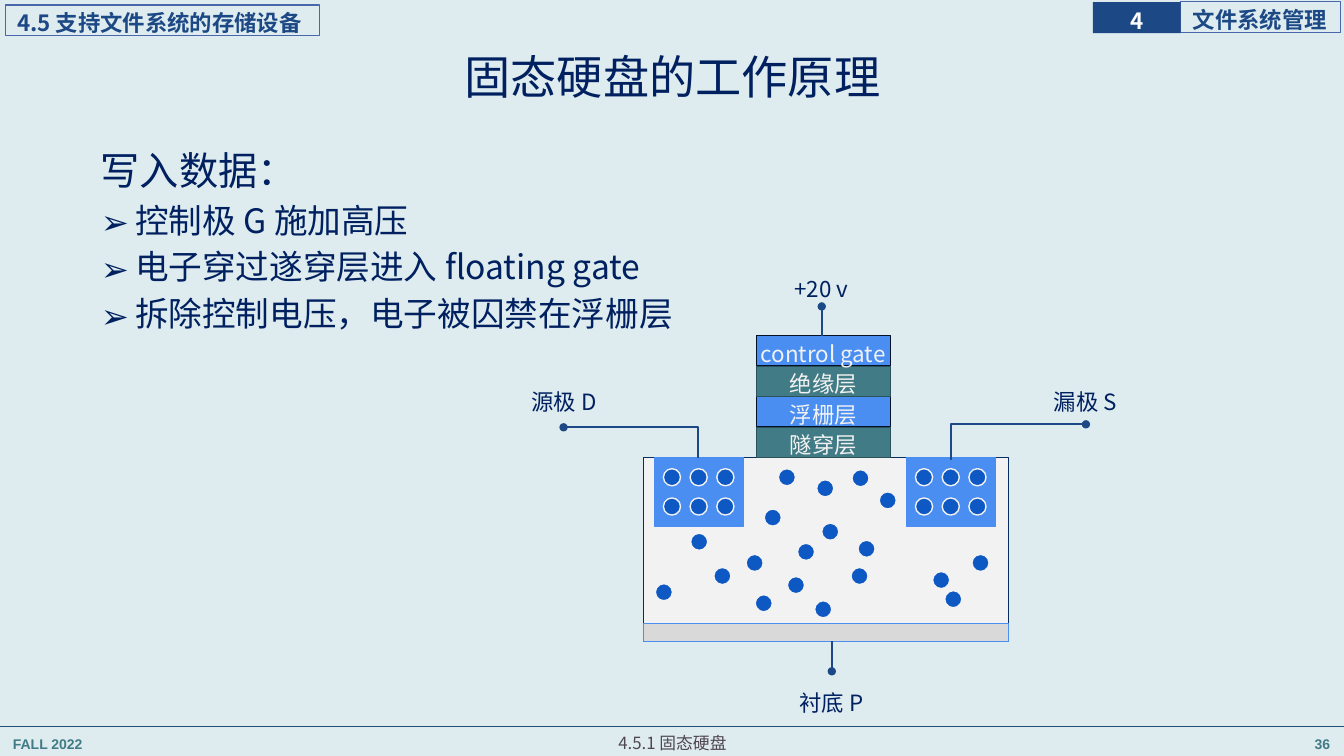
from itertools import product
from lxml.etree import SubElement
from pptx import Presentation
from pptx.dml.color import RGBColor
from pptx.enum.shapes import MSO_CONNECTOR, MSO_SHAPE
from pptx.enum.text import MSO_ANCHOR, PP_ALIGN
from pptx.oxml.ns import qn
from pptx.util import Inches, Pt

WIDTH, HEIGHT = 13.33, 7.5
SANS, LATIN = "Noto Sans CJK SC", "Arial"
ICE, NAVY, INK = RGBColor(222, 236, 239), RGBColor(28, 72, 133), RGBColor(0, 32, 96)
WHITE, PALE, GREY = RGBColor(255, 255, 255), RGBColor(242, 242, 242), RGBColor(217, 217, 217)
BLUE, ELECTRON, TEAL = RGBColor(74, 142, 242), RGBColor(14, 88, 196), RGBColor(65, 123, 133)
FRAME, RULE, PLUM = RGBColor(74, 102, 172), RGBColor(35, 79, 119), RGBColor(80, 70, 82)
DEEP, DARK_TEAL, BLACK = RGBColor(7, 44, 98), RGBColor(43, 82, 89), RGBColor(3, 18, 39)

TITLE = "固态硬盘的工作原理"
LEAD = "写入数据："
STEPS = ["控制极 G 施加高压", "电子穿过遂穿层进入 floating gate", "拆除控制电压，电子被囚禁在浮栅层"]
LAYERS = [("control gate", BLUE, BLACK), ("绝缘层", TEAL, DARK_TEAL),
          ("浮栅层", BLUE, BLACK), ("隧穿层", TEAL, DARK_TEAL)]
TERMINALS = [("+20 v", 7.33, 2.63, 1.63), ("源极 D", 5, 3.75, 1.19),
             ("漏极 S", 10.17, 3.75, 1.19), ("衬底 P", 7.65, 6.73, 1.19)]
LEADS = [((8.15, 3.33), (8.15, 3.04), None), ((9.42, 4.56), (10.77, 4.21), 900),
         ((6.93, 4.54), (5.59, 4.24), 300), ((8.25, 6.36), (8.25, 6.66), None)]
ELECTRONS = [(7.49, 5.9), (6.5, 5.79), (8.08, 5.96), (9.37, 5.86), (9.25, 5.67),
             (9.64, 5.5), (8.72, 4.88), (8.45, 4.66), (8.1, 4.76), (7.72, 4.65),
             (7.58, 5.05), (6.85, 5.29), (7.08, 5.63), (7.4, 5.5), (7.81, 5.72),
             (8.44, 5.63), (8.51, 5.36), (8.15, 5.19), (7.91, 5.39)]
BODY_LEFT, BODY_TOP, BODY_WIDTH = 6.38, 4.54, 3.62
WELL_WIDTH, WELL_HEIGHT, WELL_INSET = 0.88, 0.68, 0.11
LAYER_LEFT, LAYER_WIDTH, LAYER_PITCH = 7.5, 1.33, 0.3025
DOT = 0.17


def style(paragraph, size, color, bold=False, font=SANS, align=None, spacing=1.2):
    paragraph.alignment = align
    paragraph.line_spacing = spacing
    paragraph.font.size = Pt(size)
    paragraph.font.bold = bold
    paragraph.font.color.rgb = color
    paragraph.font.name = font
    SubElement(paragraph.font._element, qn("a:ea"), typeface=font)


def write(box, text, size, color, insets=(0.1, 0.05, 0.1, 0.05), anchor=MSO_ANCHOR.TOP, **look):
    frame = box.text_frame
    frame.word_wrap = True
    frame.vertical_anchor = anchor
    frame.margin_left, frame.margin_top, frame.margin_right, frame.margin_bottom = map(Inches, insets)
    frame.text = text
    style(frame.paragraphs[0], size, color, **look)
    return frame


def add_text(page, area, text, size, color, **look):
    box = page.shapes.add_textbox(*map(Inches, area))
    return write(box, text, size, color, **look)


def add_block(page, area, fill=None, line=None, weight=0.75, kind=MSO_SHAPE.RECTANGLE):
    block = page.shapes.add_shape(kind, *map(Inches, area))
    block.shadow.inherit = False
    if fill is None:
        block.fill.background()
    else:
        block.fill.solid()
        block.fill.fore_color.rgb = fill
    if line is None:
        block.line.fill.background()
    else:
        block.line.color.rgb = line
        block.line.width = Pt(weight)
    return block


def add_electron(page, left, top):
    add_block(page, (left, top, DOT, DOT), ELECTRON, PALE, 1, MSO_SHAPE.OVAL)


def add_line(page, start, end, color, weight, kind=MSO_CONNECTOR.STRAIGHT):
    line = page.shapes.add_connector(kind, *map(Inches, start + end))
    line.line.color.rgb = color
    line.line.width = Pt(weight)
    SubElement(line._element.spPr, qn("a:effectLst"))
    return line


def add_lead(page, start, end, bend):
    kind = MSO_CONNECTOR.STRAIGHT if bend is None else MSO_CONNECTOR.ELBOW
    lead = add_line(page, start, end, NAVY, 1.25, kind)
    SubElement(lead.line._get_or_add_ln(), qn("a:tailEnd"), type="oval")
    if bend is not None:
        guides = lead._element.spPr.find(qn("a:prstGeom")).find(qn("a:avLst"))
        SubElement(guides, qn("a:gd"), name="adj1", fmla=f"val {bend}")


def add_well(page, left):
    add_block(page, (left, BODY_TOP, WELL_WIDTH, WELL_HEIGHT), BLUE, BLUE)
    for row, column in product(range(2), range(3)):
        add_electron(page, left + 0.09 + 0.265 * column, BODY_TOP + 0.11 + 0.29 * row)


def add_banners(page):
    tag = {"insets": (0.12, 0, 0, 0), "anchor": MSO_ANCHOR.MIDDLE, "bold": True}
    chapter = add_block(page, (11.71, 0.02, 1.59, 0.3), line=FRAME)
    write(chapter, "文件系统管理", 16, NAVY, align=PP_ALIGN.JUSTIFY, **tag)
    number = add_block(page, (10.84, 0.02, 0.87, 0.31), NAVY)
    write(number, "4", 16, WHITE, insets=(0, 0, 0, 0), anchor=MSO_ANCHOR.MIDDLE,
          bold=True, align=PP_ALIGN.CENTER)
    section = add_block(page, (0.05, 0.05, 3.12, 0.3), line=FRAME)
    write(section, "4.5 支持文件系统的存储设备", 16, NAVY, align=PP_ALIGN.LEFT, **tag)


def add_footer(page):
    add_line(page, (0, 7.21), (WIDTH, 7.21), RULE, 0.5)
    for left, text, align in [(0.03, "FALL 2022", PP_ALIGN.LEFT), (10.51, "36", PP_ALIGN.RIGHT)]:
        add_text(page, (left, 7.21, 2.78, 0.31), text, 10, TEAL, bold=True, font=LATIN, align=align)
    add_text(page, (1.67, 7.18, 10, 0.32), "4.5.1 固态硬盘", 12, PLUM, align=PP_ALIGN.CENTER)


def add_steps(page):
    insets = (0.08, 0.04, 0.08, 0.04)
    add_text(page, (0.92, 0.4, 11.5, 0.77), TITLE, 33, INK, insets=insets,
             anchor=MSO_ANCHOR.MIDDLE, align=PP_ALIGN.CENTER, spacing=0.9)
    frame = add_text(page, (0.92, 1.46, 11.5, 5.64), LEAD, 28, INK, insets=insets, spacing=0.9)
    for step in STEPS:
        paragraph = frame.add_paragraph()
        paragraph.text = step
        paragraph.space_before = Pt(7.5)
        properties = paragraph._p.get_or_add_pPr()
        properties.set("marL", str(Inches(0.34)))
        properties.set("indent", str(Inches(-0.34)))
        SubElement(properties, qn("a:buFont"), typeface=SANS)
        SubElement(properties, qn("a:buChar"), char="➢")
        style(paragraph, 24, INK, spacing=0.9)


def add_transistor(page):
    add_block(page, (BODY_LEFT, BODY_TOP, BODY_WIDTH, 1.82), PALE, DEEP)
    add_block(page, (BODY_LEFT, 6.19, BODY_WIDTH, DOT), GREY, BLUE)
    add_well(page, BODY_LEFT + WELL_INSET)
    add_well(page, BODY_LEFT + BODY_WIDTH - WELL_INSET - WELL_WIDTH - 0.02)
    gate_top = BODY_TOP - LAYER_PITCH * len(LAYERS)
    for row, (text, fill, line) in reversed(list(enumerate(LAYERS))):
        layer = add_block(page, (LAYER_LEFT, gate_top + row * LAYER_PITCH, LAYER_WIDTH, 0.3), fill, line)
        write(layer, text, 16, PALE, insets=(0, 0, 0, 0), anchor=MSO_ANCHOR.MIDDLE,
              align=PP_ALIGN.CENTER)
    for start, end, bend in LEADS:
        add_lead(page, start, end, bend)
    for text, left, top, width in TERMINALS:
        add_text(page, (left, top, width, 0.4), text, 16, INK, align=PP_ALIGN.CENTER)
    for left, top in ELECTRONS:
        add_electron(page, left, top)


def main():
    """Build the slide on how a solid-state drive writes data."""
    deck = Presentation()
    deck.slide_width, deck.slide_height = Inches(WIDTH), Inches(HEIGHT)
    page = deck.slides.add_slide(deck.slide_layouts[6])
    page.background.fill.solid()
    page.background.fill.fore_color.rgb = ICE
    add_footer(page)
    add_banners(page)
    add_steps(page)
    add_transistor(page)
    deck.save("out.pptx")


if __name__ == "__main__":
    main()
